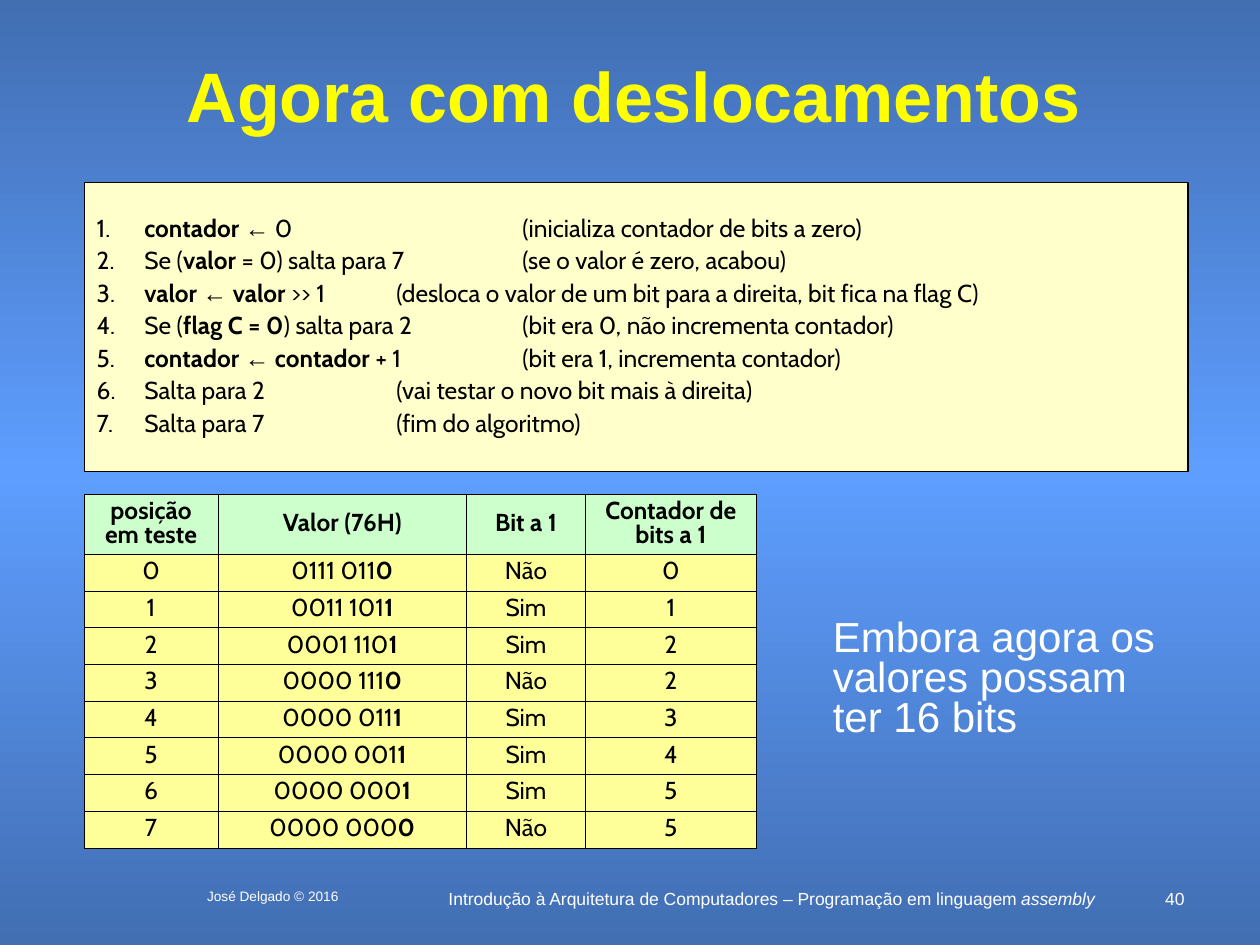
import itertools

import pptx
import pptx.dml.color
import pptx.enum.shapes
import pptx.enum.text
import pptx.oxml
import pptx.oxml.ns
import pptx.util

Cm = pptx.util.Cm
Pt = pptx.util.Pt
ALIGN = pptx.enum.text.PP_ALIGN
ANCHOR = pptx.enum.text.MSO_ANCHOR

COLORS = {
    "edge": "426EB2", "middle": "5E9EFF", "title": "FFFF00", "light": "FFFFFF",
    "ink": "000000", "panel": "FFFFCC", "header": "CCFFCC", "body": "FFFF99",
}


def rgb(name):
    return pptx.dml.color.RGBColor.from_string(COLORS[name])


class SlideBuilder:
    """Holds the style and the current slide; one method per kind of element."""

    sans = "Arial"
    text_font = "Cabin"
    symbol = "←"
    indent = Cm(0.96)
    tab_step = Cm(2.54)

    def __init__(self, slide):
        self.slide = slide

    def background(self, stops):
        gs = "".join(
            f'<a:gs pos="{pos * 1000}"><a:srgbClr val="{COLORS[name]}"/></a:gs>'
            for pos, name in stops)
        ns = pptx.oxml.ns.nsdecls("p", "a")
        self.slide.element.cSld.insert(0, pptx.oxml.parse_xml(
            f"<p:bg {ns}><p:bgPr><a:gradFill><a:gsLst>{gs}</a:gsLst>"
            '<a:lin ang="5400000" scaled="0"/></a:gradFill><a:effectLst/></p:bgPr></p:bg>'))

    def fill_paragraph(self, p, text, font, size, color, align=ALIGN.LEFT, spacing=None,
                       bold=False, italic_emphasis=False):
        """Fill a paragraph; text between asterisks gets the emphasis."""
        p.alignment = align
        p.line_spacing = spacing
        for i, part in enumerate(text.split("*")):
            emphasized = i % 2 == 1
            for is_symbol, chars in itertools.groupby(part, lambda c: c == self.symbol):
                r = p.add_run()
                r.text = "".join(chars)
                r.font.name = self.sans if is_symbol else font
                r.font.size = Pt(size)
                r.font.color.rgb = rgb(color)
                r.font.bold = bold or (emphasized and not italic_emphasis)
                r.font.italic = emphasized and italic_emphasis

    def textbox(self, box, text, size, color="light", anchor=ANCHOR.TOP, **style):
        tf = self.slide.shapes.add_textbox(*map(Cm, box)).text_frame
        tf.word_wrap = True
        tf.vertical_anchor = anchor
        self.fill_paragraph(tf.paragraphs[0], text, self.sans, size, color, **style)

    def numbered_panel(self, box, steps):
        sp = self.slide.shapes.add_shape(
            pptx.enum.shapes.MSO_SHAPE.RECTANGLE, *map(Cm, box))
        sp.shadow.inherit = False
        sp.fill.solid()
        sp.fill.fore_color.rgb = rgb("panel")
        sp.line.color.rgb = rgb("ink")
        sp.line.width = Pt(0.75)
        tf = sp.text_frame
        tf.word_wrap = True
        tf.vertical_anchor = ANCHOR.MIDDLE
        for number, step in enumerate(steps, 1):
            p = tf.paragraphs[0] if number == 1 else tf.add_paragraph()
            self.hanging_tabs(p)
            if number > 1:
                p.space_before = Pt(3.5)
            self.fill_paragraph(p, f"{number}.\t{step}", self.text_font, 14, "ink",
                                spacing=0.9)

    def hanging_tabs(self, p):
        pPr = p._p.get_or_add_pPr()
        pPr.set("marL", str(self.indent))
        pPr.set("indent", str(-self.indent))
        pPr.set("defTabSz", str(self.tab_step))
        tabs = pptx.oxml.parse_xml(f'<a:tabLst {pptx.oxml.ns.nsdecls("a")}/>')
        for n in range(4):
            tab = tabs.makeelement(pptx.oxml.ns.qn("a:tab"))
            tab.set("pos", str(self.indent + n * self.tab_step))
            tab.set("algn", "l")
            tabs.append(tab)
        pPr.append(tabs)

    def table(self, left, top, widths, heights, rows):
        table = self.slide.shapes.add_table(
            len(rows), len(widths), Cm(left), Cm(top),
            Cm(sum(widths)), Cm(sum(heights))).table
        for column, width in zip(table.columns, widths):
            column.width = Cm(width)
        for i, (row, height, texts) in enumerate(zip(table.rows, heights, rows)):
            row.height = Cm(height)
            for cell, text in zip(row.cells, texts):
                cell.vertical_anchor = ANCHOR.MIDDLE
                self.fill_paragraph(cell.text_frame.paragraphs[0], text, self.text_font,
                                    14, "ink", ALIGN.CENTER, 0.8, bold=i == 0)
                self.borders(cell)
                cell.fill.solid()
                cell.fill.fore_color.rgb = rgb("body" if i else "header")

    def borders(self, cell):
        tcPr = cell._tc.get_or_add_tcPr()
        for side in "LRTB":
            tcPr.append(pptx.oxml.parse_xml(
                f'<a:ln{side} {pptx.oxml.ns.nsdecls("a")} w="{Pt(0.34)}"><a:solidFill>'
                f'<a:srgbClr val="{COLORS["ink"]}"/></a:solidFill></a:ln{side}>'))


def main():
    prs = pptx.Presentation()
    prs.slide_width, prs.slide_height = Cm(25.4), Cm(19.05)
    s = SlideBuilder(prs.slides.add_slide(prs.slide_layouts[6]))
    s.background([(0, "edge"), (50, "middle"), (100, "edge")])

    # Footer
    s.textbox((8.76, 17.78, 13.59, 0.64),
              "Introdução à Arquitetura de Computadores – Programação em linguagem *assembly*",
              10, align=ALIGN.CENTER, italic_emphasis=True)
    s.textbox((23.06, 17.78, 1.07, 0.43), "40", 10, align=ALIGN.RIGHT)
    s.textbox((3.38, 17.78, 4.24, 0.64), "José Delgado © 2016", 7.8, align=ALIGN.CENTER)

    # Title
    s.textbox((1.88, 1.22, 21.79, 1.7), "Agora com deslocamentos", 40, "title",
              ANCHOR.MIDDLE, align=ALIGN.CENTER, spacing=0.8, bold=True)

    # Algorithm
    s.numbered_panel((1.7, 3.68, 22.25, 5.82), [
        "*contador *← 0\t\t(inicializa contador de bits a zero)",
        "Se (*valor* = 0) salta para 7\t(se o valor é zero, acabou)",
        "*valor *← *valor* >> 1\t(desloca o valor de um bit para a direita, bit fica na flag C)",
        "Se (*flag C = 0*) salta para 2\t(bit era 0, não incrementa contador)",
        "*contador *← *contador* + 1\t(bit era 1, incrementa contador)",
        "Salta para 2\t\t(vai testar o novo bit mais à direita)",
        "Salta para 7\t\t(fim do algoritmo)",
    ])

    # Trace: the value shifts right and the counter adds each low bit
    rows = [("posição em teste", "Valor (76H)", "Bit a 1", "Contador de bits a 1")]
    value, count = 0x76, 0
    for position in range(8):
        bits = f"{value:08b}"
        count += value & 1
        rows.append((str(position), f"{bits[:4]} {bits[4:7]}*{bits[7]}*",
                     "Sim" if value & 1 else "Não", str(count)))
        value >>= 1
    s.table(1.7, 9.96, [2.69, 5.02, 2.39, 3.45], [1.21] + [0.74] * 8, rows)

    # Remark
    s.textbox((16.54, 12.37, 7.44, 2.95), "Embora agora os valores possam ter 16 bits",
              24, spacing=0.8)

    prs.save("out.pptx")


if __name__ == "__main__":
    main()
